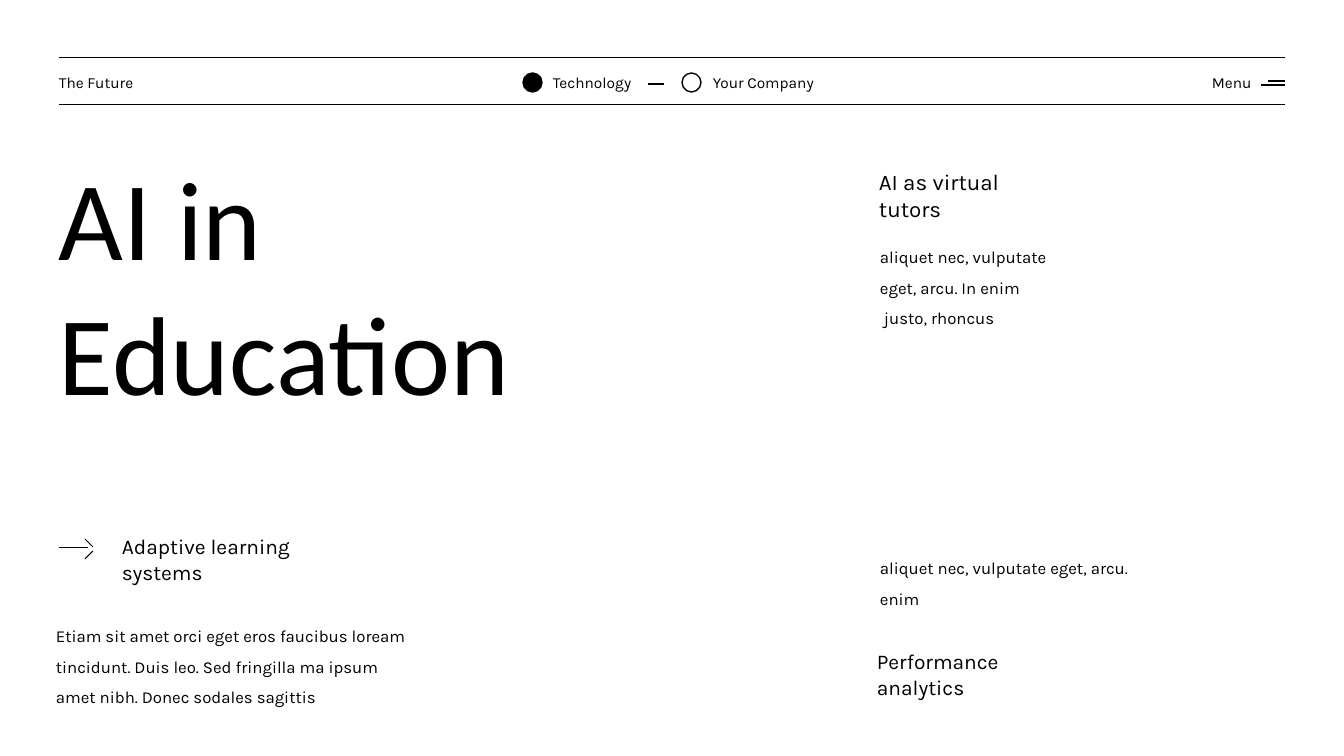
"""Build the "AI in Education" slide with its menu bar, title and topic texts."""
from lxml.etree import SubElement
from pptx import Presentation
from pptx.dml.color import RGBColor
from pptx.enum.shapes import MSO_CONNECTOR as Connector, MSO_SHAPE as Shape
from pptx.enum.text import MSO_AUTO_SIZE as AutoSize
from pptx.oxml.ns import qn
from pptx.util import Emu, Pt

BLACK = RGBColor(0, 0, 0)
SLIDE_WIDTH, SLIDE_HEIGHT = 1344, 756
EMU_PER_PX = 12192000 / SLIDE_WIDTH
LEFT, RIGHT = 59, 1285
BAR_TOP, BAR_HEIGHT = 68, 29
CIRCLE_TOP, CIRCLE_SIZE = 73, 19

BAR_LABELS = [
    ("The Future", 49, 120),
    ("Technology", 543, 129),
    ("Your Company", 703, 139),
    ("Menu", 1202, 84),
]
CIRCLES = [(523, True), (682, False)]
TEXTS = [
    (["AI in", "Education"], (49, 144, 480, 281), "Calibri", 80, 1),
    (["Adaptive learning", "systems"], (112, 529, 248, 61), "Karla", 15, 1),
    (["Etiam sit amet orci eget eros faucibus loream",
      "tincidunt. Duis leo. Sed fringilla ma ipsum",
      "amet nibh. Donec sodales sagittis"], (46, 611, 422, 98), "Karla", 12, 1.5),
    (["AI as virtual", "tutors"], (869, 163, 248, 65), "Karla", 16, 1),
    (["aliquet nec, vulputate", "eget, arcu. In enim", " justo, rhoncus"],
     (870, 232, 231, 99), "Karla", 12, 1.5),
    (["aliquet nec, vulputate eget, arcu. enim"], (870, 543, 303, 68), "Karla", 12, 1.5),
    (["Performance", "analytics"], (867, 644, 157, 61), "Karla", 15, 1),
]
BAR_RULES = [(LEFT, y, RIGHT, y) for y in (58, 105)]
ICON_LINES = [(1268, 81, RIGHT, 81), (1261, 85, RIGHT, 85), (648, 84, 664, 84)]
ARROW_LINES = [(LEFT, 548, 88, 548), (85, 539, 93, 547), (93, 551, 85, 559)]


def px(*lengths):
    return [Emu(round(length * EMU_PER_PX)) for length in lengths]


def add_lines(shapes, lines, weight):
    for ends in lines:
        line = shapes.add_connector(Connector.STRAIGHT, *px(*ends))
        line.line.color.rgb = BLACK
        line.line.width = Pt(weight)
        SubElement(line._element.spPr, qn("a:effectLst"))


def add_circle(shapes, left, filled):
    circle = shapes.add_shape(Shape.OVAL, *px(left, CIRCLE_TOP, CIRCLE_SIZE, CIRCLE_SIZE))
    circle.shadow.inherit = False
    circle.line.color.rgb = BLACK
    circle.line.width = Pt(1)
    if filled:
        circle.fill.solid()
        circle.fill.fore_color.rgb = BLACK
    else:
        circle.fill.background()


def add_text(shapes, rows, box, font_name, size, spacing):
    frame = shapes.add_textbox(*px(*box)).text_frame
    frame.word_wrap = True
    frame.auto_size = AutoSize.SHAPE_TO_FIT_TEXT
    for index, row in enumerate(rows):
        paragraph = frame.add_paragraph() if index else frame.paragraphs[0]
        paragraph.line_spacing = float(spacing)
        run = paragraph.add_run()
        run.text = row
        run.font.name = font_name
        run.font.size = Pt(size)
        run.font.color.rgb = BLACK


def main():
    deck = Presentation()
    deck.slide_width, deck.slide_height = px(SLIDE_WIDTH, SLIDE_HEIGHT)
    shapes = deck.slides.add_slide(deck.slide_layouts[6]).shapes
    add_lines(shapes, BAR_RULES, 0.75)
    add_lines(shapes, ICON_LINES, 1)
    for label, left, width in BAR_LABELS:
        add_text(shapes, [label], (left, BAR_TOP, width, BAR_HEIGHT), "Karla", 11, 1)
    for left, filled in CIRCLES:
        add_circle(shapes, left, filled)
    for text in TEXTS:
        add_text(shapes, *text)
    add_lines(shapes.add_group_shape().shapes, ARROW_LINES, 0.75)
    deck.save("out.pptx")


if __name__ == "__main__":
    main()
